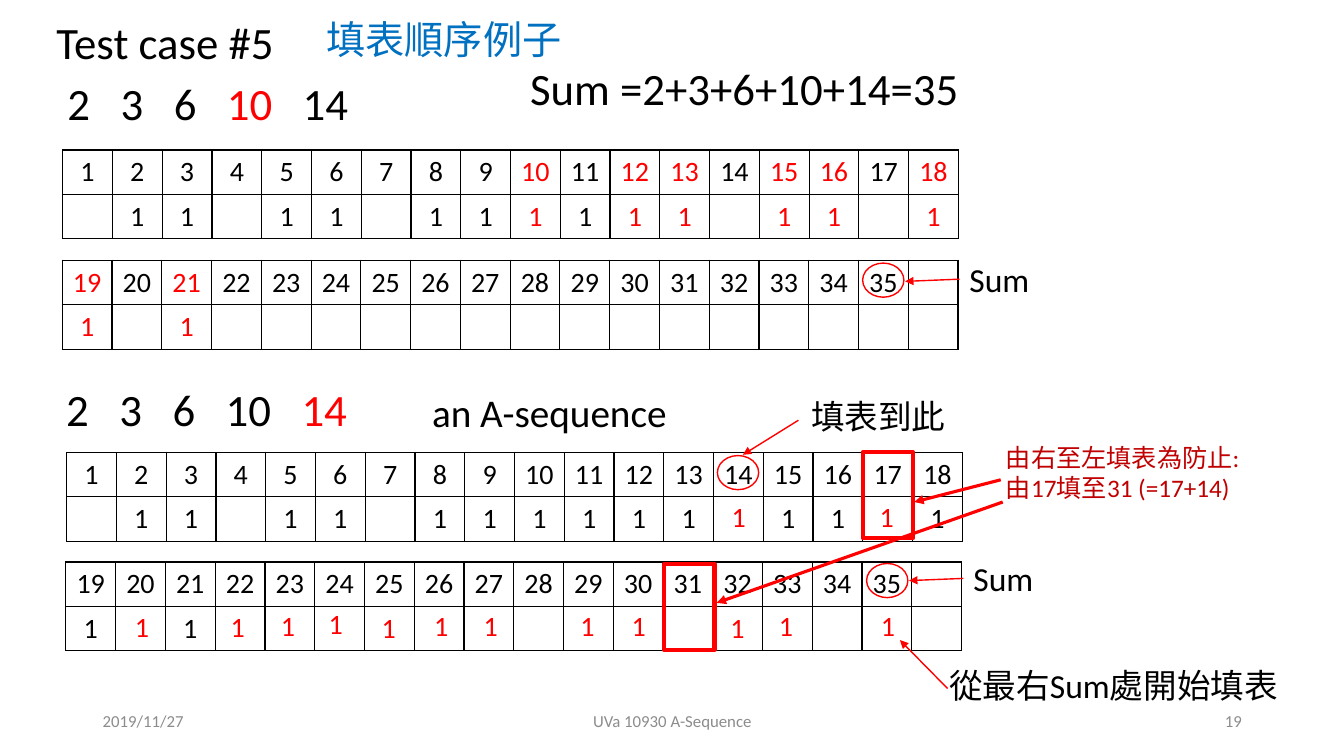
from lxml import etree
from pptx import Presentation
from pptx import util as u
from pptx.dml.color import RGBColor
from pptx.enum import shapes, text
from pptx.oxml import ns

BLACK = RGBColor(0x00, 0x00, 0x00)
RED = RGBColor(0xFF, 0x00, 0x00)
DARK_RED = RGBColor(0xC0, 0x00, 0x00)
BLUE = RGBColor(0x00, 0x70, 0xC0)
GREY = RGBColor(0x8C, 0x8C, 0x8C)
LATIN_FONT, CHINESE_FONT = "Calibri", "Noto Sans CJK SC"
LEFT, CENTER, RIGHT = text.PP_ALIGN.LEFT, text.PP_ALIGN.CENTER, text.PP_ALIGN.RIGHT
TOP, MIDDLE = text.MSO_ANCHOR.TOP, text.MSO_ANCHOR.MIDDLE


def add_run(paragraph, words, size, color):
    run = paragraph.add_run()
    run.text = words
    for name, value in {"size": u.Pt(size), "name": LATIN_FONT}.items():
        setattr(run.font, name, value)
    run.font.color.rgb = color
    east_asian = etree.SubElement(run.font._element, ns.qn("a:ea"))
    east_asian.set("typeface", CHINESE_FONT)


def add_text(box, runs, size, align=LEFT, anchor=TOP, tabs=()):
    shape = slide.shapes.add_textbox(*map(u.Cm, box))
    frame_format = {"word_wrap": True, "auto_size": text.MSO_AUTO_SIZE.NONE,
                    "vertical_anchor": anchor}
    for name, value in frame_format.items():
        setattr(shape.text_frame, name, value)
    paragraph = shape.text_frame.paragraphs[0]
    paragraph.alignment = align
    if tabs:
        tab_list = etree.SubElement(paragraph._p.get_or_add_pPr(), ns.qn("a:tabLst"))
        for position in tabs:
            etree.SubElement(tab_list, ns.qn("a:tab"), pos=str(u.Cm(position)), algn="l")
    for words, color in runs:
        add_run(paragraph, words, size, color)
    return shape


presentation = Presentation()
presentation.slide_width, presentation.slide_height = u.Cm(33.87), u.Cm(19.05)
slide = presentation.slides.add_slide(presentation.slide_layouts[6])

# Footer
for left, width, words, align in (
    (2.34, 7.62, "2019/11/27", LEFT),
    (11.23, 11.43, "UVa 10930 A-Sequence", CENTER),
    (23.93, 7.62, "19", RIGHT),
):
    add_text((left, 17.65, width, 1.02), [(words, GREY)], 12, align, MIDDLE)

# Headings and remarks
for box, words, size, color in (
    ((1.17, 0.25, 6.17, 1.63), "Test case #5", 32, BLACK),
    ((7.98, 0.25, 6.88, 1.45), "填表順序例子", 28, BLUE),
    ((13.11, 1.4, 11.33, 1.63), "Sum =2+3+6+10+14=35", 32, BLACK),
    ((10.64, 9.65, 6.91, 1.45), "an A-sequence", 28, BLACK),
    ((20.19, 9.86, 4.98, 1.27), "填表到此", 24, BLACK),
    ((23.67, 16.64, 8.92, 1.27), "從最右Sum處開始填表", 24, BLACK),
    ((25.1, 11.02, 6.32, 1.8), "由右至左填表為防止:由17填至31 (=17+14)", 18, DARK_RED),
):
    add_text(box, [(words, color)], size)

# The two sequences, with the number being added in red
for left, top, runs in (
    (1.45, 1.78, [("2\t3\t6\t", BLACK), ("10", RED), ("\t14", BLACK)]),
    (1.42, 9.5, [("2\t3\t6\t10\t", BLACK), ("14", RED)]),
):
    add_text((left, top, 8.13, 1.63), runs, 32, tabs=(1.34, 2.68, 4.02, 5.93))

# Tables of reachable sums
COLUMNS, ROW_HEIGHT, TABLE_WIDTH, TOTAL = 18, 1.1, 22.58, 35
reachable = {2, 3, 5, 6, 8, 9, 10, 11, 12, 13, 15, 16, 18, 19, 21}
new_with_10 = {10, 12, 13, 15, 16, 18, 19, 21}
for left, top, first, red_numbers in (
    (1.58, 3.78, 1, new_with_10),
    (1.57, 6.56, 19, new_with_10),
    (1.68, 11.4, 1, set()),
    (1.66, 14.16, 19, set()),
):
    table = slide.shapes.add_table(
        2, COLUMNS, u.Cm(left), u.Cm(top), u.Cm(TABLE_WIDTH), u.Cm(2 * ROW_HEIGHT)
    ).table
    table.first_row = table.horz_banding = False
    for row in table.rows:
        row.height = u.Cm(ROW_HEIGHT)
    for index, column in enumerate(table.columns):
        column.width = u.Cm(TABLE_WIDTH / COLUMNS)
        number = first + index
        color = RED if number in red_numbers else BLACK
        labels = (str(number) if number <= TOTAL else "", "1" if number in reachable else "")
        for row_index, label in enumerate(labels):
            cell = table.cell(row_index, index)
            properties = cell._tc.get_or_add_tcPr()
            for side in ("lnL", "lnR", "lnT", "lnB"):
                border = etree.SubElement(properties, ns.qn("a:" + side), w=str(u.Pt(1)))
                fill = etree.SubElement(border, ns.qn("a:solidFill"))
                etree.SubElement(fill, ns.qn("a:srgbClr"), val=str(BLACK))
            cell.fill.background()
            paragraph = cell.text_frame.paragraphs[0]
            paragraph.alignment = CENTER
            if label:
                add_run(paragraph, label, 20, color)
            else:
                paragraph.font.size = u.Pt(20)

# Red ones filled in from right to left
for left, top in (
    (21.95, 15.21), (19.38, 15.21), (18.16, 15.27), (15.67, 15.21), (14.38, 15.21),
    (11.94, 15.21), (10.69, 15.21), (9.37, 15.27), (8.03, 15.16), (6.83, 15.21),
    (5.56, 15.24), (3.15, 15.24), (21.92, 12.45), (18.19, 12.47),
):
    add_text((left, top, 0.99, 1.12), [("1", RED)], 20)

# Circles and frames around the marked cells
OVAL, FRAME = shapes.MSO_SHAPE.OVAL, shapes.MSO_SHAPE.RECTANGLE
for kind, left, top, width, height, weight in (
    (OVAL, 21.84, 14.2, 1.04, 0.86, 1),
    (OVAL, 21.74, 6.63, 1.04, 0.86, 1),
    (OVAL, 18.08, 11.48, 1.04, 0.86, 1),
    (FRAME, 21.74, 11.4, 1.27, 2.16, 3),
    (FRAME, 16.74, 14.22, 1.27, 2.16, 3),
):
    shape = slide.shapes.add_shape(kind, *map(u.Cm, (left, top, width, height)))
    shape.shadow.inherit = False
    shape.fill.background()
    shape.line.color.rgb = RED
    shape.line.width = u.Pt(weight)

# Arrows from the remarks to the marked cells
sum_boxes = [
    add_text((left, top, 2.18, 1.27), [("Sum", BLACK)], 24)
    for left, top in ((24.28, 13.94), (24.18, 6.4))
]
for start, end, weight, label in (
    ((24.28, 14.58), (22.91, 14.63), 1, sum_boxes[0]),
    ((24.18, 7.04), (22.81, 7.09), 1, sum_boxes[1]),
    ((20.12, 10.59), (18.72, 11.46), 1, None),
    ((23.88, 17.35), (22.68, 16.13), 1, None),
    ((25.22, 12.09), (23.04, 12.65), 2.25, None),
    ((25.27, 12.65), (18.06, 15.19), 2.25, None),
):
    arrow = slide.shapes.add_connector(
        shapes.MSO_CONNECTOR.STRAIGHT, *map(u.Cm, start + end)
    )
    if label is not None:
        arrow.begin_connect(label, 1)
    arrow.line.color.rgb = RED
    arrow.line.width = u.Pt(weight)
    etree.SubElement(arrow.line._get_or_add_ln(), ns.qn("a:tailEnd"), type="triangle")
    etree.SubElement(arrow._element.spPr, ns.qn("a:effectLst"))

presentation.save("out.pptx")
